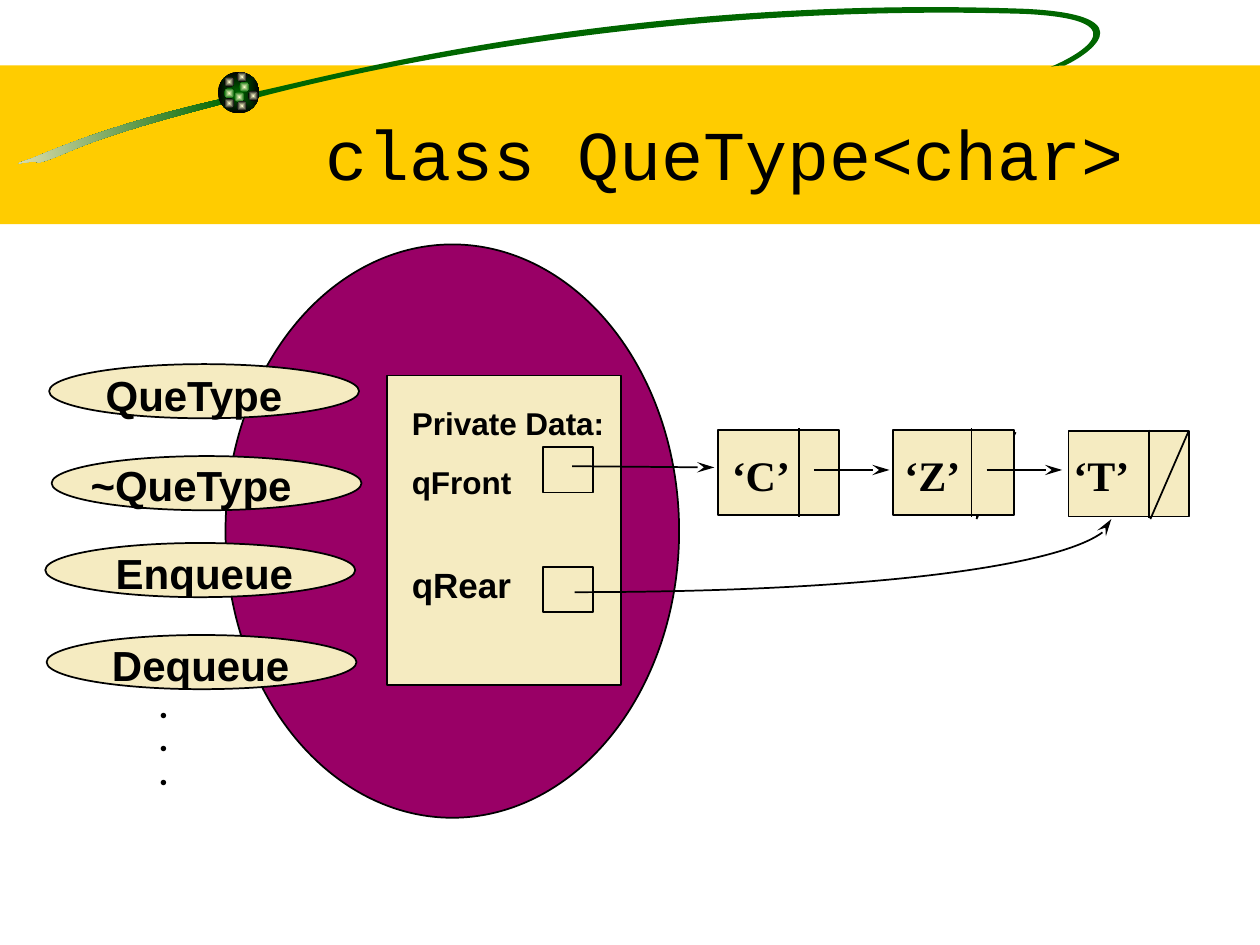
from math import cos, radians, sin

from lxml.etree import SubElement
from pptx import Presentation
from pptx.dml.color import RGBColor
from pptx.enum.shapes import MSO_CONNECTOR, MSO_SHAPE
from pptx.enum.text import MSO_ANCHOR, PP_ALIGN
from pptx.oxml.ns import qn
from pptx.util import Inches, Pt

BLACK = RGBColor(0x00, 0x00, 0x00)
WHITE = RGBColor(0xFF, 0xFF, 0xFF)
GOLD = RGBColor(0xFF, 0xCC, 0x00)
GREEN = RGBColor(0x00, 0x66, 0x00)
CREAM = RGBColor(0xF5, 0xEB, 0xC1)
PALE = RGBColor(0xFF, 0xFF, 0xCC)
PURPLE = RGBColor(0x99, 0x00, 0x66)

TITLE = {"name": "Courier New", "size": Pt(40), "bold": False}
LABEL = {"name": "Arial", "size": Pt(24), "bold": True}
FIELD = {"name": "Arial", "size": Pt(18), "bold": True}
REAR_FIELD = {"name": "Arial", "size": Pt(20), "bold": True}
LETTER = {"name": "Times New Roman", "size": Pt(24), "bold": True}
DOT = {"name": "Montserrat", "size": Pt(16), "bold": True}

OPERATIONS = [
    ("QueType", 0.39, 2.89, (0.74, 2.88, 1.63, 0.5)),
    ("~QueType", 0.41, 3.62, (0.62, 3.6, 1.82, 0.5)),
    ("Enqueue", 0.36, 4.31, (0.82, 4.3, 1.61, 0.5)),
    ("Dequeue", 0.37, 5.04, (0.79, 5.03, 1.61, 1.3)),
]
BEADS = [
    (1.9, 0.65, GREEN), (1.78, 0.61, BLACK), (1.78, 0.7, GREEN),
    (1.86, 0.73, GREEN), (1.97, 0.72, BLACK), (1.88, 0.8, BLACK),
    (1.78, 0.78, BLACK), (1.88, 0.57, BLACK),
]
TAIL = [
    (1.78, 0.78), (0.91, 0.98), (0.49, 1.16), (0.25, 1.26),
    (0.01, 1.34), (0.26, 1.26), (0.31, 1.29),
    (0.57, 1.22), (0.57, 1.13), (1.79, 0.82),
]
ORBIT = [
    (2.02, 0.73), (2.46, 0.65), (4.86, -0.05), (8.14, 0.07),
    (9.17, 0.12), (8.57, 0.47), (8.45, 0.52),
    (8.45, 0.52), (8.38, 0.52), (8.34, 0.53),
    (8.44, 0.49), (9.16, 0.16), (8.13, 0.11),
    (5.48, 0.03), (3.2, 0.47), (2.06, 0.77),
]
REAR_LINK = [(8.82, 4.12), (8.82, 4.44), (6.91, 4.7), (4.56, 4.7)]


def paint(shape, colour):
    """Fill a shape with one colour."""
    shape.fill.solid()
    shape.fill.fore_color.rgb = colour


def paint_gradient(shape, first, last, centred=False):
    """Fill a shape with a right-to-left or a centred two-colour gradient."""
    shape.fill.gradient()
    shape.fill.gradient_angle = 180
    for stop, colour in zip(shape.fill.gradient_stops, (first, last)):
        stop.color.rgb = colour
    if centred:
        linear = shape._element.spPr.find(".//" + qn("a:lin"))
        gradient = linear.getparent()
        gradient.remove(linear)
        rectangle = SubElement(gradient, qn("a:path"), {"path": "rect"})
        SubElement(rectangle, qn("a:fillToRect"), dict.fromkeys("ltrb", "50000"))


def outline(shape):
    """Give a shape or connector a thin black line."""
    shape.line.color.rgb = BLACK
    shape.line.width = Pt(1)


def add_figure(page, kind, place, colour=None, lined=True):
    """Add a preset shape, with or without an outline."""
    shape = page.shapes.add_shape(kind, *map(Inches, place))
    shape.shadow.inherit = False
    if colour is not None:
        paint(shape, colour)
    if lined:
        outline(shape)
    else:
        shape.line.fill.background()
    return shape


def add_curve(page, place, controls, closed=True, rotation=0):
    """Add a chain of cubic curves inside a frame that may be turned."""
    left, top, width, height = place
    builder = page.shapes.build_freeform(Inches(left), Inches(top))
    builder.add_line_segments([(Inches(left + width), Inches(top + height))], close=False)
    shape = builder.convert_to_shape()
    shape.shadow.inherit = False
    shape.rotation = rotation
    route = shape._element.spPr.find(".//" + qn("a:path"))
    for child in list(route):
        route.remove(child)
    turn = radians(-rotation)
    segment = SubElement(route, qn("a:moveTo"))
    for number, (x, y) in enumerate(controls):
        if number % 3 == 1:
            segment = SubElement(route, qn("a:cubicBezTo"))
        across, down = x - left - width / 2, y - top - height / 2
        local_x = width / 2 + across * cos(turn) - down * sin(turn)
        local_y = height / 2 + across * sin(turn) + down * cos(turn)
        SubElement(segment, qn("a:pt"), {
            "x": str(Inches(local_x)), "y": str(Inches(local_y))})
    if closed:
        SubElement(route, qn("a:close"))
    return shape


def add_arrowhead(shape, end):
    """Put a long stealth arrowhead on one end of a line."""
    SubElement(shape.line._get_or_add_ln(), qn("a:" + end),
               {"type": "stealth", "w": "med", "len": "lg"})


def add_line(page, start, finish, arrow=False):
    """Add a straight line, optionally with an arrowhead."""
    line = page.shapes.add_connector(
        MSO_CONNECTOR.STRAIGHT, *map(Inches, start + finish))
    outline(line)
    if arrow:
        add_arrowhead(line, "tailEnd")
    SubElement(line._element.spPr, qn("a:effectLst"))


def write(para, text, style):
    """Write a styled span into a paragraph."""
    span = para.add_run()
    span.text = text
    for name, value in style.items():
        setattr(span.font, name, value)
    span.font.color.rgb = BLACK


def add_text(page, place, lines, tab=None):
    """Add a text box from (text, style, space before, indent) lines."""
    box = page.shapes.add_textbox(*map(Inches, place))
    frame = box.text_frame
    frame.word_wrap = False
    for number, (text, style, gap, indent) in enumerate(lines):
        para = frame.add_paragraph() if number else frame.paragraphs[0]
        layout = para._p.get_or_add_pPr()
        if indent:
            layout.set("marL", str(Inches(indent)))
        if tab:
            stops = SubElement(layout, qn("a:tabLst"))
            SubElement(stops, qn("a:tab"), {"pos": str(Inches(tab)), "algn": "l"})
        if gap:
            para.space_before = Pt(gap)
        write(para, text, style)


def add_banner(page):
    """Draw the gold band with its orbit and jewelled ball."""
    add_figure(page, MSO_SHAPE.RECTANGLE, (0, 0.52, 10, 1.26), GOLD, False)
    tail = add_curve(page, (-0.03, 0.91, 1.84, 0.3), TAIL, rotation=351.5)
    paint_gradient(tail, GREEN, CREAM)
    orbit = add_curve(page, (2.01, -0.15, 7.16, 1.09), ORBIT, rotation=351.5)
    paint(orbit, GREEN)
    for shape in (tail, orbit):
        shape.line.fill.background()
    ball = add_figure(page, MSO_SHAPE.OVAL, (1.73, 0.57, 0.33, 0.33), lined=False)
    paint_gradient(ball, GREEN, BLACK, True)
    for left, top, edge in BEADS:
        bead = add_figure(page, MSO_SHAPE.OVAL, (left, top, 0.08, 0.08), lined=False)
        paint_gradient(bead, PALE, edge, True)
    veil = add_figure(page, MSO_SHAPE.RECTANGLE, (0.74, 2.06, 1.22, 5.44), WHITE, False)
    colour = veil._element.spPr.find(".//" + qn("a:srgbClr"))
    SubElement(colour, qn("a:alpha"), {"val": "50000"})


def add_title(page, text):
    """Place the title over the banner."""
    title = page.shapes.title
    place = {"left": 1.5, "top": 0.34, "width": 8.5, "height": 1.25}
    for name, value in place.items():
        setattr(title, name, Inches(value))
    title.text_frame.vertical_anchor = MSO_ANCHOR.BOTTOM
    para = title.text_frame.paragraphs[0]
    para.alignment = PP_ALIGN.CENTER
    write(para, text, TITLE)
    page.shapes._spTree.append(title._element)


def add_class(page):
    """Draw the class with its operations and private data."""
    add_figure(page, MSO_SHAPE.OVAL, (1.79, 1.94, 3.6, 4.55), PURPLE)
    for name, left, top, place in OPERATIONS:
        add_figure(page, MSO_SHAPE.OVAL, (left, top, 2.46, 0.43), CREAM)
        dots = [(".", DOT, 0, 0.38)] * 3 if name == "Dequeue" else []
        add_text(page, place, [(name, LABEL, 0, 0)] + dots)
    add_figure(page, MSO_SHAPE.RECTANGLE, (3.07, 2.98, 1.86, 2.46), CREAM)
    for top in (3.55, 4.5):
        add_figure(page, MSO_SHAPE.RECTANGLE, (4.31, top, 0.4, 0.36), CREAM)
    add_text(page, (3.17, 3.16, 1.73, 1.7), [
        ("Private Data:", FIELD, 0, 0), ("qFront", FIELD, 12, 0),
        ("qRear", REAR_FIELD, 36, 0)])


def add_queue(page):
    """Draw the linked nodes and the links that reach them."""
    add_line(page, (4.54, 3.7), (5.67, 3.71), True)
    add_figure(page, MSO_SHAPE.RECTANGLE, (5.7, 3.41, 0.96, 0.68), CREAM)
    add_line(page, (7.75, 3.41), (7.75, 4.11))
    add_line(page, (8.06, 3.43), (7.75, 4.12))
    for left, top in ((7.09, 3.41), (8.48, 3.42)):
        add_figure(page, MSO_SHAPE.RECTANGLE, (left, top, 0.96, 0.68), CREAM)
    for left, top in ((6.34, 3.4), (7.71, 3.4), (9.12, 3.41)):
        add_line(page, (left, top), (left, top + 0.7))
    for left in (6.46, 7.83):
        add_line(page, (left, 3.73), (left + 0.6, 3.73), True)
    add_line(page, (9.43, 3.43), (9.13, 4.12))
    add_text(page, (5.71, 3.52, 0.83, 0.5), [("‘C’", LETTER, 0, 0)])
    add_text(page, (7.08, 3.52, 2.01, 0.5), [("‘Z’\t‘T’", LETTER, 0, 0)], tab=1.34)
    link = add_curve(page, (0.3, 3.54, 8.52, 1.16), REAR_LINK, closed=False)
    link.fill.background()
    outline(link)
    add_arrowhead(link, "headEnd")


def main():
    """Build and save the slide."""
    deck = Presentation()
    deck.slide_width, deck.slide_height = Inches(10), Inches(7.5)
    page = deck.slides.add_slide(deck.slide_layouts[5])
    add_banner(page)
    add_title(page, "class QueType<char>")
    add_class(page)
    add_queue(page)
    deck.save("out.pptx")


if __name__ == "__main__":
    main()
